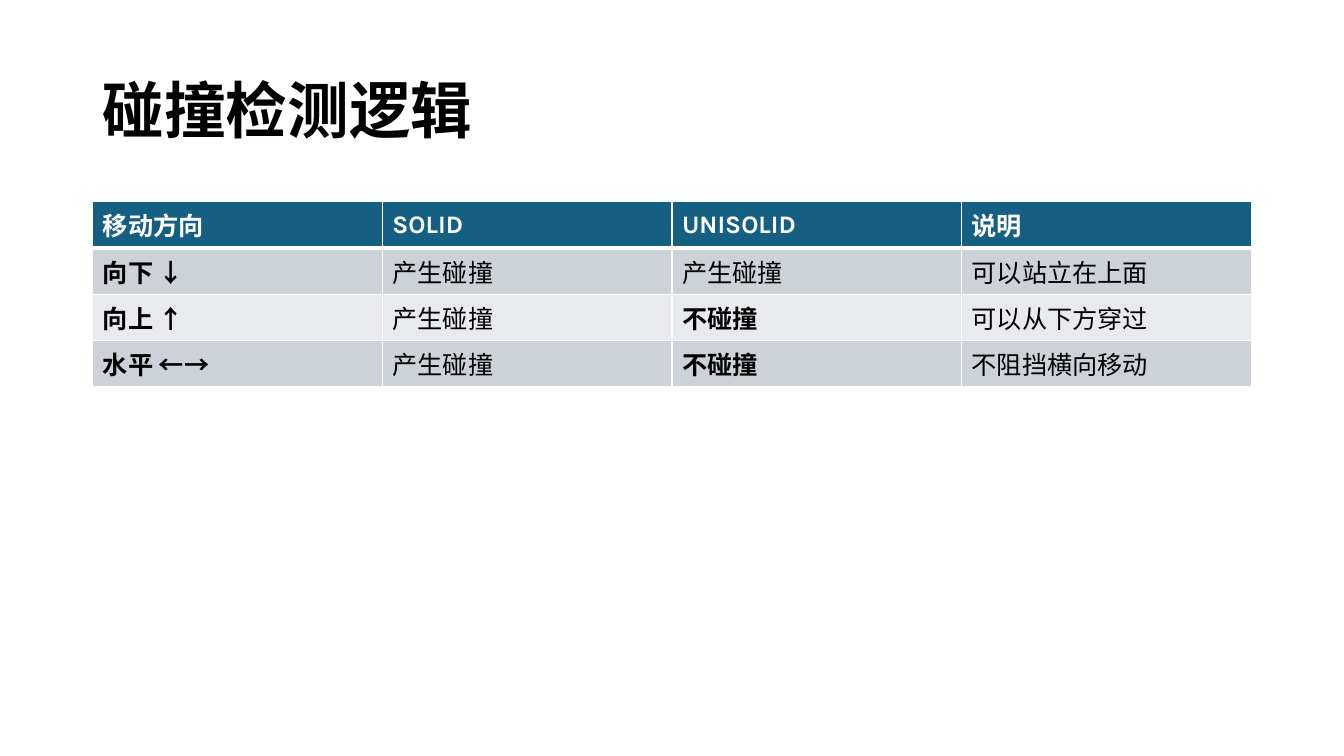
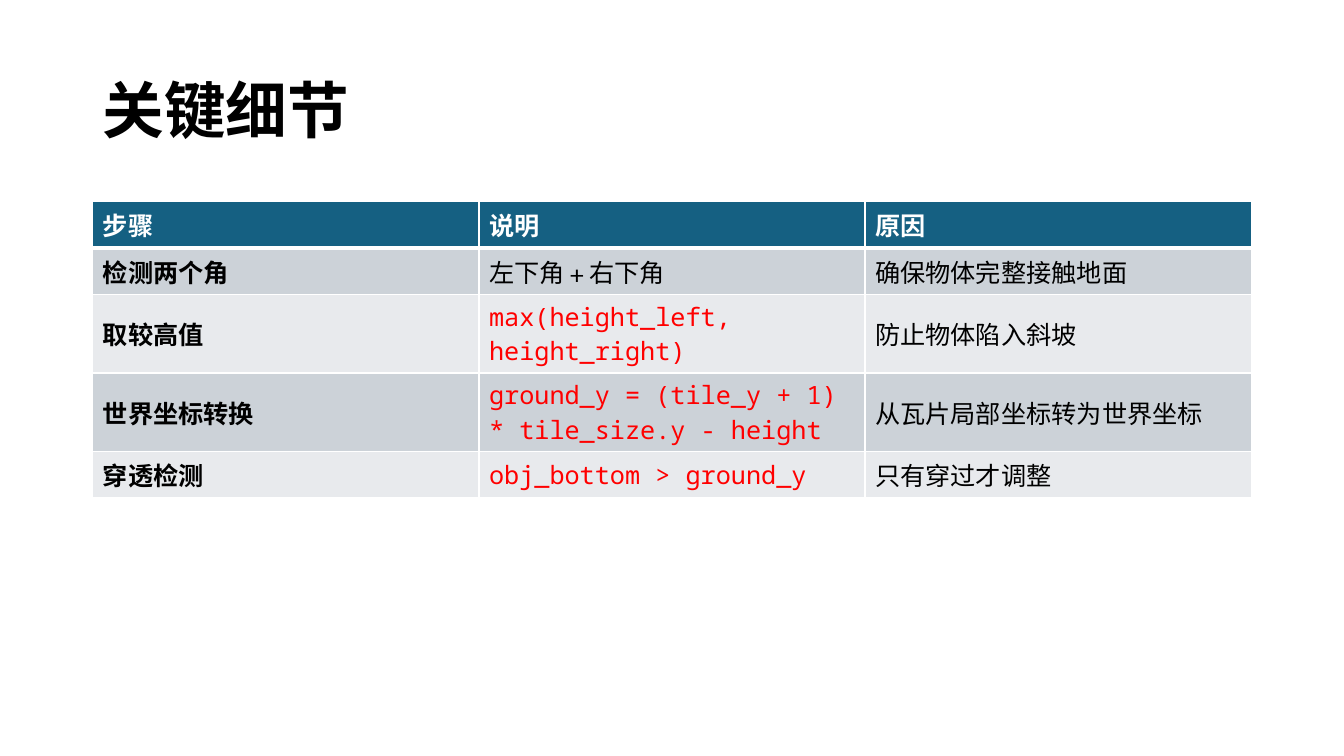
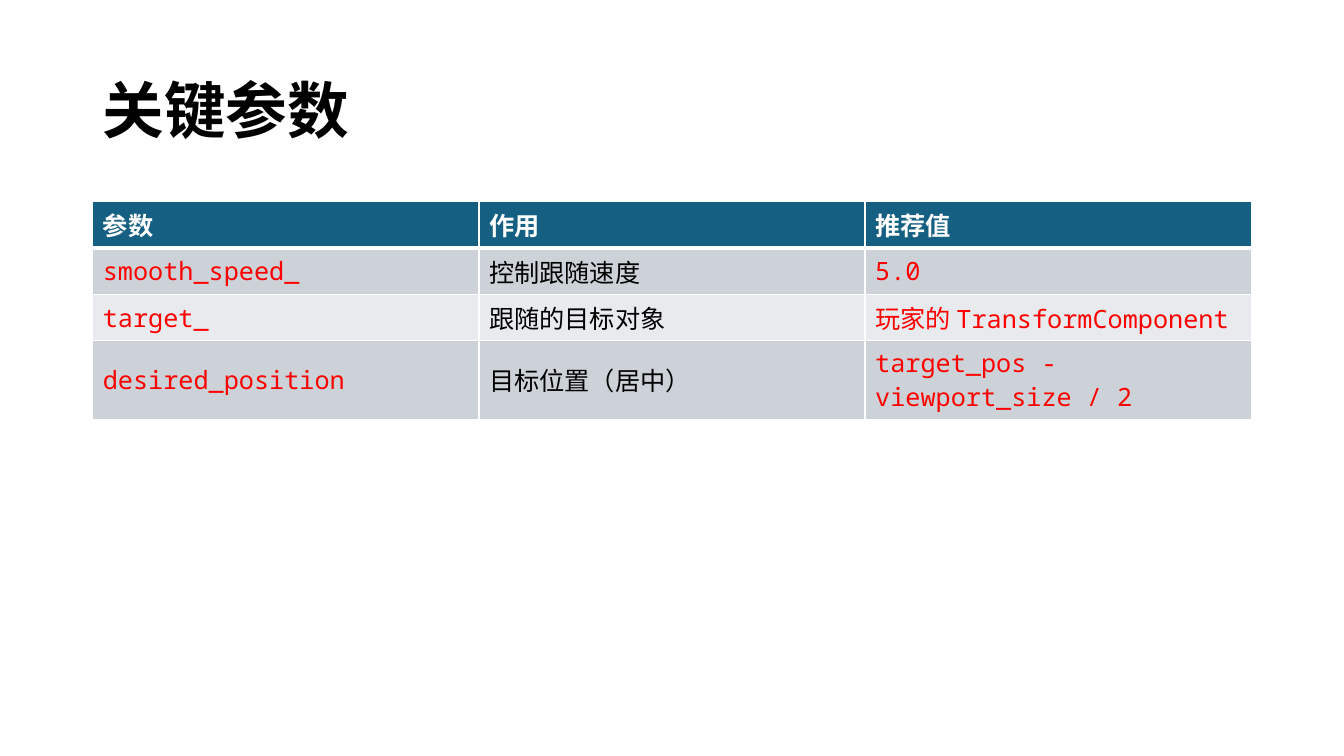
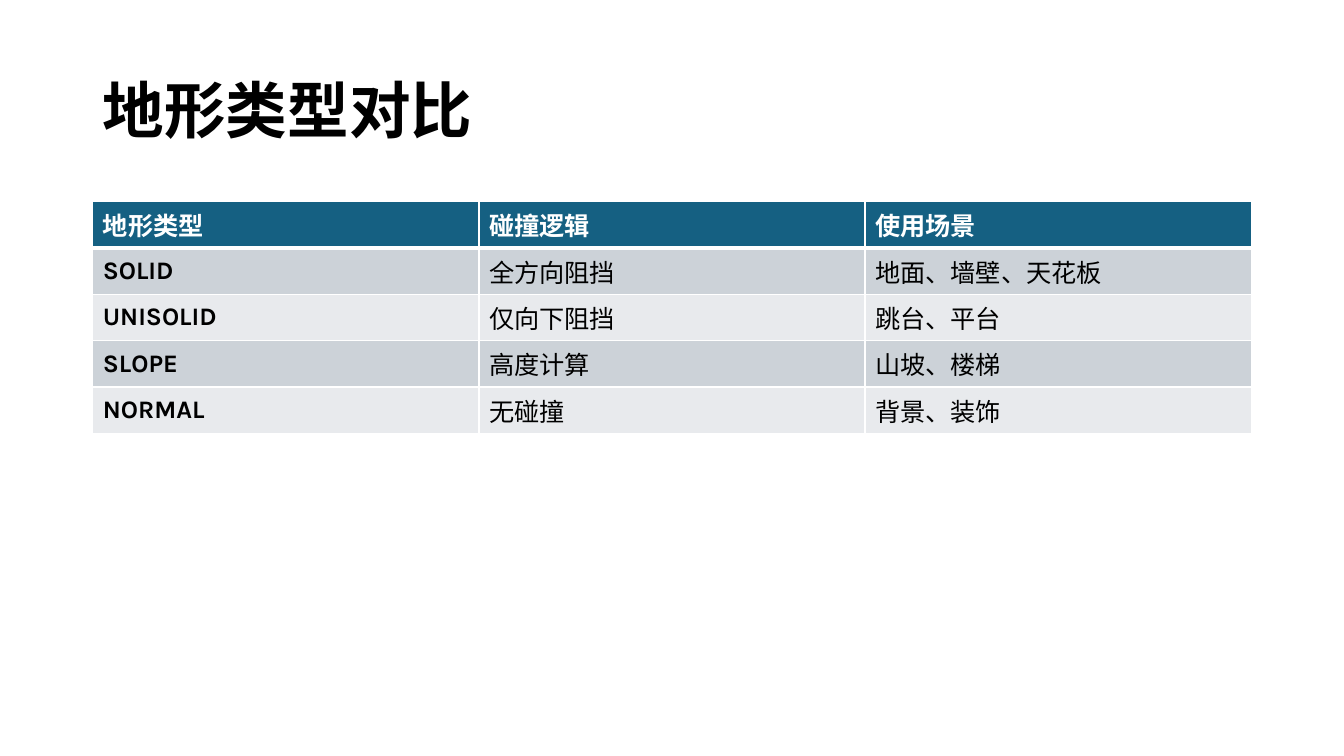
from pptx import Presentation
from pptx import util as u
from pptx.dml.color import RGBColor
from pptx.enum import lang, text
from pptx.oxml import parse_xml
from pptx.oxml.ns import nsdecls

INK = {"black": "000000", "white": "FFFFFF", "red": "FF0000",
       "head": "156082", "odd": "CCD2D8", "even": "E8EAED"}
SANS, MONO = "Karla", "Noto Sans Mono"

# Cell styles: font, colour, bold
STYLES = {
    "title": (SANS, "black", True),
    "head": (SANS, "white", True),
    "bold": (SANS, "black", True),
    "plain": (SANS, "black", False),
    "code": (MONO, "red", False),
    "red": (SANS, "red", False),
}


def code(words):
    return "code", words


NO_HIT = ("bold", "不碰撞")

# Title, then table rows; a cell is a string or (style, text[, code tail])
SLIDES = [
    ("碰撞检测逻辑", [
        ["移动方向", "SOLID", "UNISOLID", "说明"],
        ["向下 ↓", "产生碰撞", "产生碰撞", "可以站立在上面"],
        ["向上 ↑", "产生碰撞", NO_HIT, "可以从下方穿过"],
        ["水平 ←→", "产生碰撞", NO_HIT, "不阻挡横向移动"],
    ]),
    ("关键细节", [
        ["步骤", "说明", "原因"],
        ["检测两个角", "左下角 + 右下角", "确保物体完整接触地面"],
        ["取较高值", code("max(height_left, height_right)"), "防止物体陷入斜坡"],
        ["世界坐标转换", code("ground_y = (tile_y + 1) * tile_size.y - height"),
         "从瓦片局部坐标转为世界坐标"],
        ["穿透检测", code("obj_bottom > ground_y"), "只有穿过才调整"],
    ]),
    ("关键参数", [
        ["参数", "作用", "推荐值"],
        [code("smooth_speed_"), "控制跟随速度", code("5.0")],
        [code("target_"), "跟随的目标对象", ("red", "玩家的 ", "TransformComponent")],
        [code("desired_position"), "目标位置（居中）",
         code("target_pos - viewport_size / 2")],
    ]),
    ("地形类型对比", [
        ["地形类型", "碰撞逻辑", "使用场景"],
        ["SOLID", "全方向阻挡", "地面、墙壁、天花板"],
        ["UNISOLID", "仅向下阻挡", "跳台、平台"],
        ["SLOPE", "高度计算", "山坡、楼梯"],
        ["NORMAL", "无碰撞", "背景、装饰"],
    ]),
]

LEFT, WIDTH = 0.92, 11.49
TITLE_TOP, TITLE_H = 0.4, 1.45
TABLE_TOP, ROW_H, TALL_H = 2, 0.46, 0.78
FIT = 24  # code letters that fit on one line
PAD_X, PAD_Y = 0.1, 0.05


def write(frame, style, size, words, tail=None):
    """Fill a text frame with one styled paragraph."""
    para = frame.paragraphs[0]
    para.add_run().text = words
    name, ink, bold = STYLES[style]
    font = para.font
    font.name, font.size, font.bold = name, u.Pt(size), bold
    font.color.rgb = RGBColor.from_string(INK[ink])
    font.language_id = lang.MSO_LANGUAGE_ID.SIMPLIFIED_CHINESE
    if tail:
        run = para.add_run()
        run.text, run.font.name = tail, MONO
    return para


def edge(cell, row):
    """Draw white borders, thicker below the header row."""
    props = cell._tc.get_or_add_tcPr()
    thick = {0: "B", 1: "T"}.get(row)
    for side in "LRTB":
        width = u.Pt(3 if side == thick else 1)
        props.append(parse_xml(
            f'<a:ln{side} {nsdecls("a")} w="{width}"><a:solidFill>'
            f'<a:srgbClr val="{INK["white"]}"/></a:solidFill></a:ln{side}>'))


def add_title(slide, words):
    box = slide.shapes.add_textbox(u.Inches(LEFT), u.Inches(TITLE_TOP),
                                   u.Inches(WIDTH), u.Inches(TITLE_H))
    frame = box.text_frame
    frame.word_wrap = True
    frame.vertical_anchor = text.MSO_ANCHOR.MIDDLE
    write(frame, "title", 44, words).line_spacing = 0.9


def height(row):
    """Rows with long code take two lines."""
    tall = any(item[0] == "code" and len(item[1]) > FIT for item in row)
    return u.Inches(TALL_H if tall else ROW_H)


def add_grid(slide, rows):
    highs = [height(row) for row in rows]
    table = slide.shapes.add_table(
        len(rows), len(rows[0]), u.Inches(LEFT), u.Inches(TABLE_TOP),
        u.Inches(WIDTH), sum(highs)).table
    table.first_row = table.horz_banding = False
    for r, row in enumerate(rows):
        table.rows[r].height = highs[r]
        band = "head" if r == 0 else "odd" if r % 2 else "even"
        for c, item in enumerate(row):
            if isinstance(item, str):
                item = ("head" if r == 0 else "plain" if c else "bold", item)
            cell = table.cell(r, c)
            cell.vertical_anchor = text.MSO_ANCHOR.MIDDLE
            cell.margin_left = cell.margin_right = u.Inches(PAD_X)
            cell.margin_top = cell.margin_bottom = u.Inches(PAD_Y)
            edge(cell, r)
            cell.fill.solid()
            cell.fill.fore_color.rgb = RGBColor.from_string(INK[band])
            style, *words = item
            write(cell.text_frame, style, 18, *words)


def main():
    deck = Presentation()
    deck.slide_width, deck.slide_height = u.Inches(13.33), u.Inches(7.5)
    for title, rows in SLIDES:
        slide = deck.slides.add_slide(deck.slide_layouts[6])
        add_title(slide, title)
        add_grid(slide, rows)
    deck.save("out.pptx")


if __name__ == "__main__":
    main()
